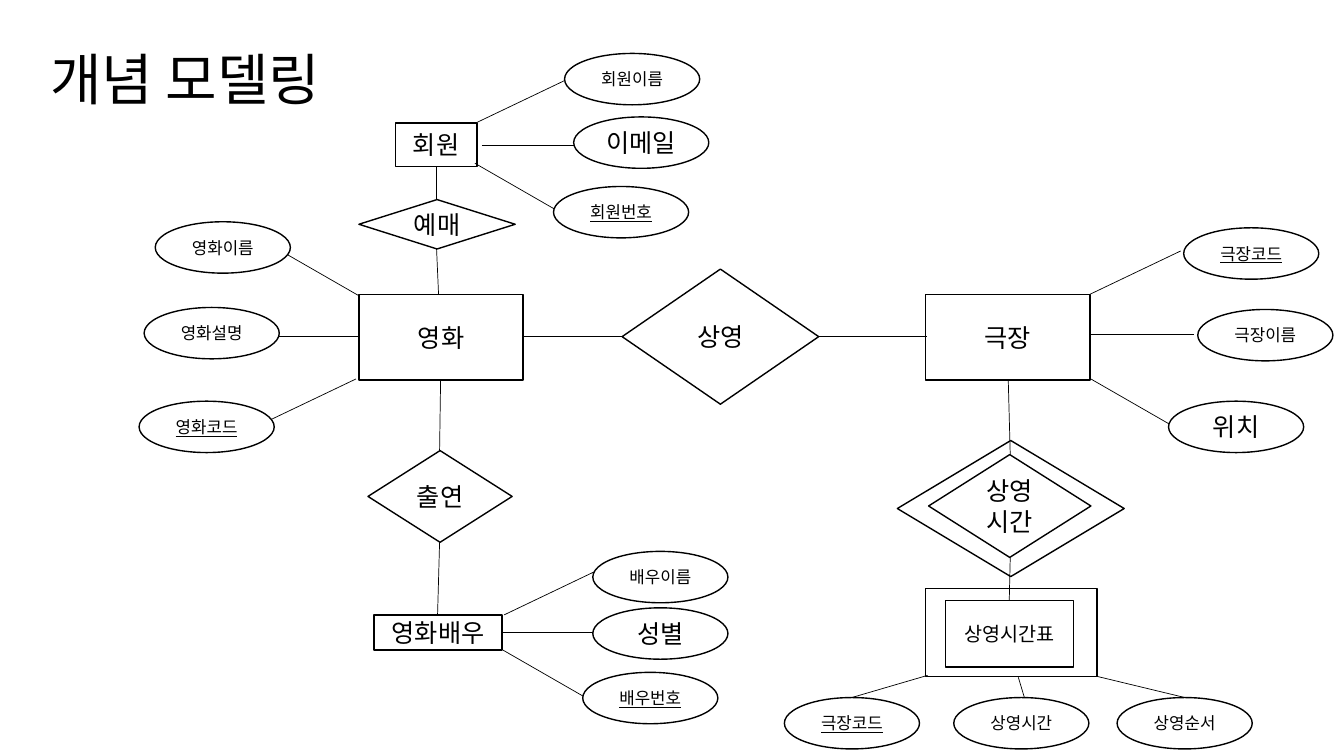
import pptx
import pptx.util
import pptx.dml.color
import pptx.enum.shapes
import pptx.enum.text
import pptx.oxml.ns
import lxml.etree
from dataclasses import dataclass

Inches = pptx.util.Inches
Pt = pptx.util.Pt
RGB = pptx.dml.color.RGBColor
SHAPE = pptx.enum.shapes.MSO_SHAPE
ALIGN = pptx.enum.text.PP_ALIGN
ANCHOR = pptx.enum.text.MSO_ANCHOR
qn = pptx.oxml.ns.qn


@dataclass(frozen=True)
class Theme:
    font: str = "Noto Sans CJK KR"
    ink: RGB = RGB(0, 0, 0)
    paper: RGB = RGB(255, 255, 255)
    title: int = 40
    large: int = 18
    medium: int = 14
    small: int = 12
    outline: float = 1
    link: float = 0.5


class Diagram:
    attribute_size = (1.34, 0.51)

    def __init__(self, s, theme):
        self.s = s
        self.theme = theme

    def label(self, sp, text, size, align=ALIGN.CENTER, underline=None):
        tf = sp.text_frame
        frame_format = {
            "word_wrap": True,
            "auto_size": pptx.enum.text.MSO_AUTO_SIZE.NONE,
            "vertical_anchor": ANCHOR.MIDDLE,
        }
        for name, value in frame_format.items():
            setattr(tf, name, value)
        p = tf.paragraphs[0]
        p.alignment = align
        r = p.add_run()
        r.text = text
        font_format = {"name": self.theme.font, "size": Pt(size), "underline": underline}
        for name, value in font_format.items():
            setattr(r.font, name, value)
        r.font.color.rgb = self.theme.ink
        ea = lxml.etree.SubElement(r.font._element, qn("a:ea"))
        ea.set("typeface", self.theme.font)

    def title(self, text, left, top, width, height):
        sp = self.s.shapes.title
        box = {"left": left, "top": top, "width": width, "height": height}
        for name, value in box.items():
            setattr(sp, name, Inches(value))
        self.label(sp, text, self.theme.title, ALIGN.LEFT)

    def node(self, kind, box, text="", size=None, underline=None):
        sp = self.s.shapes.add_shape(kind, *map(Inches, box))
        sp.shadow.inherit = False
        sp.fill.solid()
        sp.fill.fore_color.rgb = self.theme.paper
        sp.line.color.rgb = self.theme.ink
        sp.line.width = Pt(self.theme.outline)
        if text:
            self.label(sp, text, size or self.theme.large, underline=underline)

    def attribute(self, text, left, top, size=None, key=None):
        box = (left, top, *self.attribute_size)
        self.node(SHAPE.OVAL, box, text, size or self.theme.small, key)

    def link(self, *ends):
        line = self.s.shapes.add_connector(
            pptx.enum.shapes.MSO_CONNECTOR.STRAIGHT, *map(Inches, ends))
        line.line.color.rgb = self.theme.ink
        line.line.width = Pt(self.theme.link)
        lxml.etree.SubElement(line._element.spPr, qn("a:effectLst"))


prs = pptx.Presentation()
prs.slide_width, prs.slide_height = Inches(13.33), Inches(7.5)
theme = Theme()
diagram = Diagram(prs.slides.add_slide(prs.slide_layouts[5]), theme)
diagram.title("개념 모델링", 0.4, 0.38, 3.33, 0.78)

diagram.node(SHAPE.DIAMOND, (8.9, 4.37, 2.25, 1.35))
diagram.node(SHAPE.RECTANGLE, (9.18, 5.84, 1.7, 0.87))

entities = [
    ("회원", (3.92, 1.22, 0.81, 0.43), theme.large),
    ("영화", (3.56, 2.92, 1.63, 0.85), theme.large),
    ("극장", (9.18, 2.92, 1.63, 0.85), theme.large),
    ("영화배우", (3.71, 6.1, 1.27, 0.35), theme.large),
    ("상영시간표", (9.38, 5.96, 1.27, 0.66), theme.medium),
]
for text, box, size in entities:
    diagram.node(SHAPE.RECTANGLE, box, text, size)

relationships = [
    ("예매", (3.56, 1.98, 1.55, 0.49), SHAPE.FLOWCHART_DECISION),
    ("상영", (6.17, 2.67, 1.95, 1.34), SHAPE.FLOWCHART_DECISION),
    ("출연", (3.65, 4.47, 1.43, 0.91), SHAPE.FLOWCHART_DECISION),
    ("상영시간", (9.21, 4.51, 1.61, 1.02), SHAPE.DIAMOND),
]
for text, box, kind in relationships:
    diagram.node(kind, box, text)

relationship_links = [
    (4.33, 1.98, 4.33, 1.65), (4.33, 2.47, 4.35, 2.92),
    (5.19, 3.34, 6.17, 3.34), (9.19, 3.34, 8.12, 3.34),
    (4.37, 3.78, 4.36, 4.47), (4.36, 5.38, 4.34, 6.1),
    (10, 3.77, 10.02, 4.51), (10.02, 5.53, 10.01, 5.96),
]
timetable_links = [
    (8.45, 6.92, 9.2, 6.7), (10.16, 6.92, 10.1, 6.72), (11.75, 6.92, 10.88, 6.71),
]
for ends in relationship_links + timetable_links:
    diagram.link(*ends)

attribute_links = [
    (0.9, -0.43, [(4.72, 1.22), (2.63, 4.19), (5, 6.1), (10.81, 2.92)]),
    (0.8, 0.46, [(4.71, 1.62), (2.77, 2.48), (4.99, 6.45), (10.82, 3.76)]),
    (1.02, 0, [(4.78, 1.44), (2.53, 3.34), (4.99, 6.27), (10.82, 3.32)]),
]
for dx, dy, starts in attribute_links:
    for x, y in starts:
        diagram.link(x, y, x + dx, y + dy)

plain_attributes = [
    ("회원이름", 5.6, 0.53), ("영화이름", 1.54, 2.2), ("영화설명", 1.43, 3.05),
    ("배우이름", 5.88, 5.47), ("극장이름", 11.88, 3.07),
    ("상영시간", 9.46, 6.92), ("상영순서", 11.08, 6.92),
]
large_attributes = [("이메일", 5.69, 1.16), ("성별", 5.88, 6.03), ("위치", 11.59, 3.98)]
key_attributes = [
    ("회원번호", 5.49, 1.85), ("영화코드", 1.38, 3.98), ("배우번호", 5.78, 6.67),
    ("극장코드", 11.74, 2.26), ("극장코드", 7.78, 6.92),
]
for attribute in plain_attributes:
    diagram.attribute(*attribute)
for attribute in large_attributes:
    diagram.attribute(*attribute, size=theme.large)
for attribute in key_attributes:
    diagram.attribute(*attribute, key=True)

prs.save("out.pptx")
